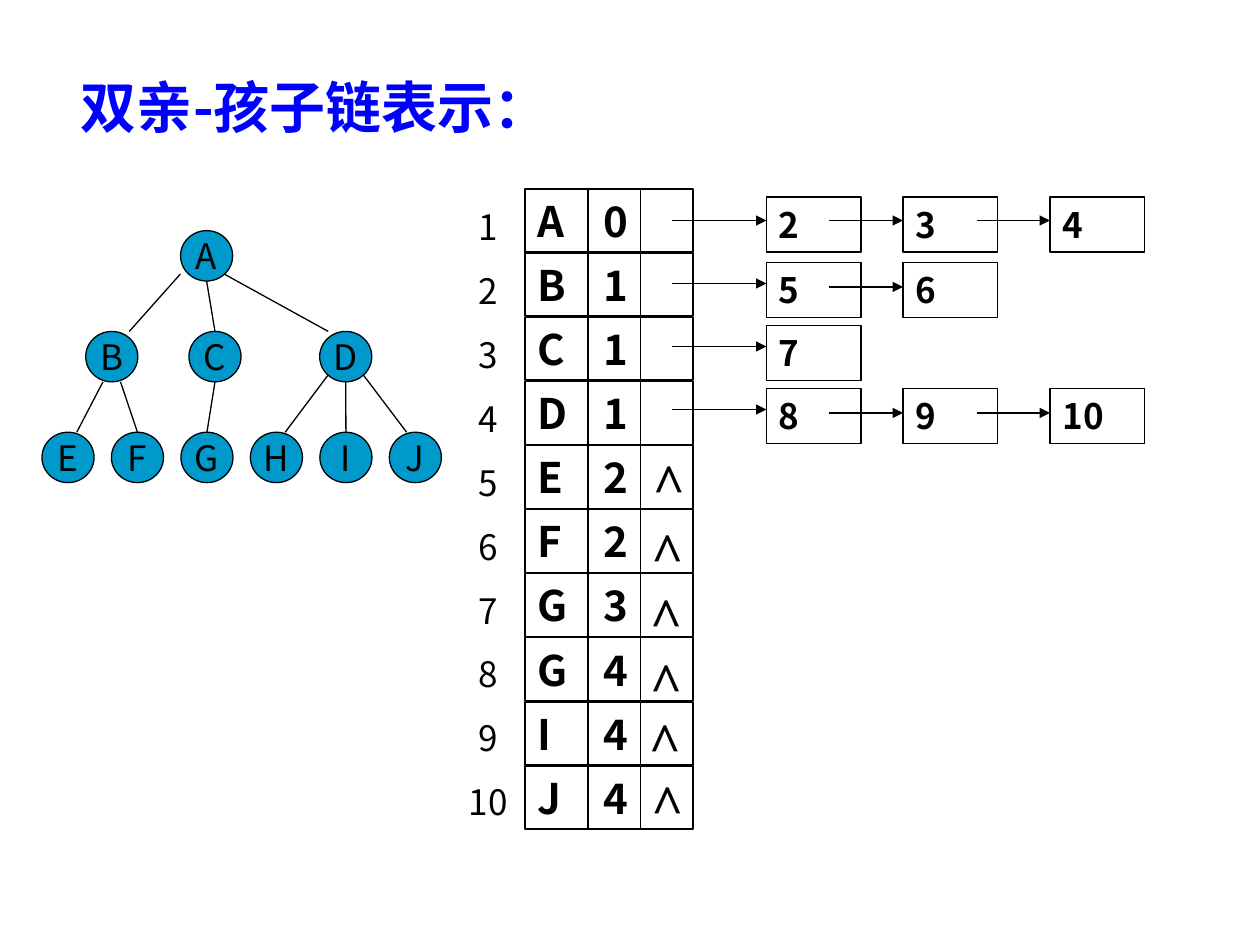
from lxml import etree
from pptx import Presentation
from pptx.dml.color import RGBColor
from pptx.enum import shapes, text
from pptx.oxml import ns
from pptx.util import Pt

SANS = "Noto Sans CJK JP"
SERIF = "Times New Roman"
BLACK, BLUE, TEAL = "000000", "0000FF", "0099CC"

NODE_W, NODE_H = 29.75, 28.8
LEVEL_TOPS = (131.8, 189.4, 247)
LEAF_LEFT, LEAF_STEP = 24, 39.7
# parent, child, start offset from parent centre, start lift, end offset from child centre
EDGES = (
    ("A", "B", -15, 4, 10), ("A", "C", 0, 0, 0), ("A", "D", 10, 4, -10),
    ("B", "E", -5, 0, 5), ("B", "F", 5, 0, 0), ("C", "G", 0, 0, 0),
    ("D", "H", -10, 4, 5), ("D", "I", 0, 0, 0), ("D", "J", 10, 4, -5),
)

RECORDS = (("A", 0), ("B", 1), ("C", 1), ("D", 1), ("E", 2),
           ("F", 2), ("G", 3), ("G", 4), ("I", 4), ("J", 4))
ARRAY_LEFT, ARRAY_TOP, ARRAY_W, ROW_H, ROW_STEP = 300, 108, 96, 36, 36.64
ARRAY_BOTTOM = 473.8
PARENT_TAB = 38
NULL_MARKS = ((365.8, 252), (365, 291.6), (364.3, 329),
              (364.3, 365.8), (363.6, 400.3), (365, 435.6))

CHILD_LEFTS = (438, 516, 600)
CHILD_W, CHILD_H = 54, 31.5
# top of the boxes, height of the first arrow, height of the later arrows, children
CHILD_LISTS = (
    (112.5, 126, 126, (2, 3, 4)),
    (150, 162, 164, (5, 6)),
    (186, 198, 198, (7,)),
    (222, 234, 236, (8, 9, 10)),
)


def rgb(hex_value):
    return RGBColor.from_string(hex_value)


def write(owner, content, size=20, font=SANS, color=BLACK, bold=False,
          align=text.PP_ALIGN.LEFT, anchor=text.MSO_ANCHOR.TOP, wrap=True,
          fit=text.MSO_AUTO_SIZE.SHAPE_TO_FIT_TEXT, gap=0, tab=None):
    """Fill a shape with text, one paragraph a line, with gap points between them."""
    frame = owner.text_frame
    frame.text = content
    frame.word_wrap = wrap
    frame.auto_size = fit
    frame.vertical_anchor = anchor
    for index, paragraph in enumerate(frame.paragraphs):
        paragraph.alignment = align
        paragraph.space_before = Pt(gap if index else 0)
        if tab:
            stops = etree.SubElement(paragraph._p.get_or_add_pPr(), ns.qn("a:tabLst"))
            etree.SubElement(stops, ns.qn("a:tab"), pos=str(Pt(tab)), algn="l")
        for run in paragraph.runs:
            run.font.size = Pt(size)
            run.font.name = font
            run.font.bold = bold
            run.font.color.rgb = rgb(color)
            latin = run._r.rPr.find(ns.qn("a:latin"))
            east_asian = etree.Element(ns.qn("a:ea"), typeface=font)
            latin.addnext(east_asian)


def add_outlined(slide, kind, left, top, width, height, fill=None):
    shape = slide.shapes.add_shape(kind, Pt(left), Pt(top), Pt(width), Pt(height))
    shape.shadow.inherit = False
    if fill:
        shape.fill.solid()
        shape.fill.fore_color.rgb = rgb(fill)
    else:
        shape.fill.background()
    shape.line.color.rgb = rgb(BLACK)
    shape.line.width = Pt(0.75)
    return shape


def add_box(slide, left, top, width, height, content, **style):
    box = add_outlined(slide, shapes.MSO_SHAPE.RECTANGLE, left, top, width, height)
    write(box, content, bold=True, **style)


def add_label(slide, left, top, width, height, content, **style):
    label = slide.shapes.add_textbox(Pt(left), Pt(top), Pt(width), Pt(height))
    write(label, content, **style)


def add_line(slide, x1, y1, x2, y2, arrow=False):
    line = slide.shapes.add_connector(
        shapes.MSO_CONNECTOR.STRAIGHT, Pt(x1), Pt(y1), Pt(x2), Pt(y2))
    line.line.color.rgb = rgb(BLACK)
    line.line.width = Pt(0.75)
    if arrow:
        etree.SubElement(line.line._get_or_add_ln(), ns.qn("a:tailEnd"), type="triangle")
    etree.SubElement(line._element.spPr, ns.qn("a:effectLst"))


def add_title(slide):
    title = slide.shapes.title
    title.left, title.top, title.width, title.height = Pt(39), Pt(38), Pt(273), Pt(46)
    write(title, "双亲-孩子链表示：", size=32, color=BLUE, bold=True,
          fit=text.MSO_AUTO_SIZE.NONE)


def add_tree(slide):
    places = {"A": (103.2, 0), "B": (49, 1), "C": (108, 1), "D": (182.7, 1)}
    for index, leaf in enumerate("EFGHIJ"):
        places[leaf] = (LEAF_LEFT + index * LEAF_STEP, 2)
    for name, (left, level) in places.items():
        node = add_outlined(slide, shapes.MSO_SHAPE.OVAL, left, LEVEL_TOPS[level],
                            NODE_W, NODE_H, fill=TEAL)
        write(node, name, align=text.PP_ALIGN.CENTER, anchor=text.MSO_ANCHOR.MIDDLE,
              wrap=False, fit=text.MSO_AUTO_SIZE.NONE)
    for parent, child, start, lift, end in EDGES:
        parent_left, level = places[parent]
        add_line(slide, parent_left + NODE_W / 2 + start,
                 LEVEL_TOPS[level] + NODE_H - lift,
                 places[child][0] + NODE_W / 2 + end, LEVEL_TOPS[level + 1])


def add_parent_array(slide):
    for index, (name, parent) in enumerate(RECORDS):
        add_box(slide, ARRAY_LEFT, ARRAY_TOP + index * ROW_STEP, ARRAY_W, ROW_H,
                f"{name}\t{parent}", size=24, tab=PARENT_TAB)
    for divider in (336, 366):
        add_line(slide, divider, ARRAY_TOP, divider, ARRAY_BOTTOM)
    numbers = "\n".join(str(n) for n in range(1, len(RECORDS) + 1))
    add_label(slide, 252, 114, 54, 360, numbers, gap=12.5, align=text.PP_ALIGN.CENTER)
    for left, top in NULL_MARKS:
        add_label(slide, left, top, 36, 46, "^", size=32, font=SERIF, bold=True)


def add_child_lists(slide):
    for top, first_y, next_y, children in CHILD_LISTS:
        for index, (left, child) in enumerate(zip(CHILD_LEFTS, children)):
            add_box(slide, left, top, CHILD_W, CHILD_H, str(child))
            if index == 0:
                add_line(slide, 384, first_y, left, first_y, arrow=True)
            else:
                pointer = (474, 558)[index - 1]
                add_line(slide, pointer, next_y, left, next_y, arrow=True)


def main():
    deck = Presentation()
    deck.slide_width, deck.slide_height = Pt(720), Pt(540)
    slide = deck.slides.add_slide(deck.slide_layouts[5])
    add_title(slide)
    add_tree(slide)
    add_parent_array(slide)
    add_child_lists(slide)
    deck.save("out.pptx")


if __name__ == "__main__":
    main()
